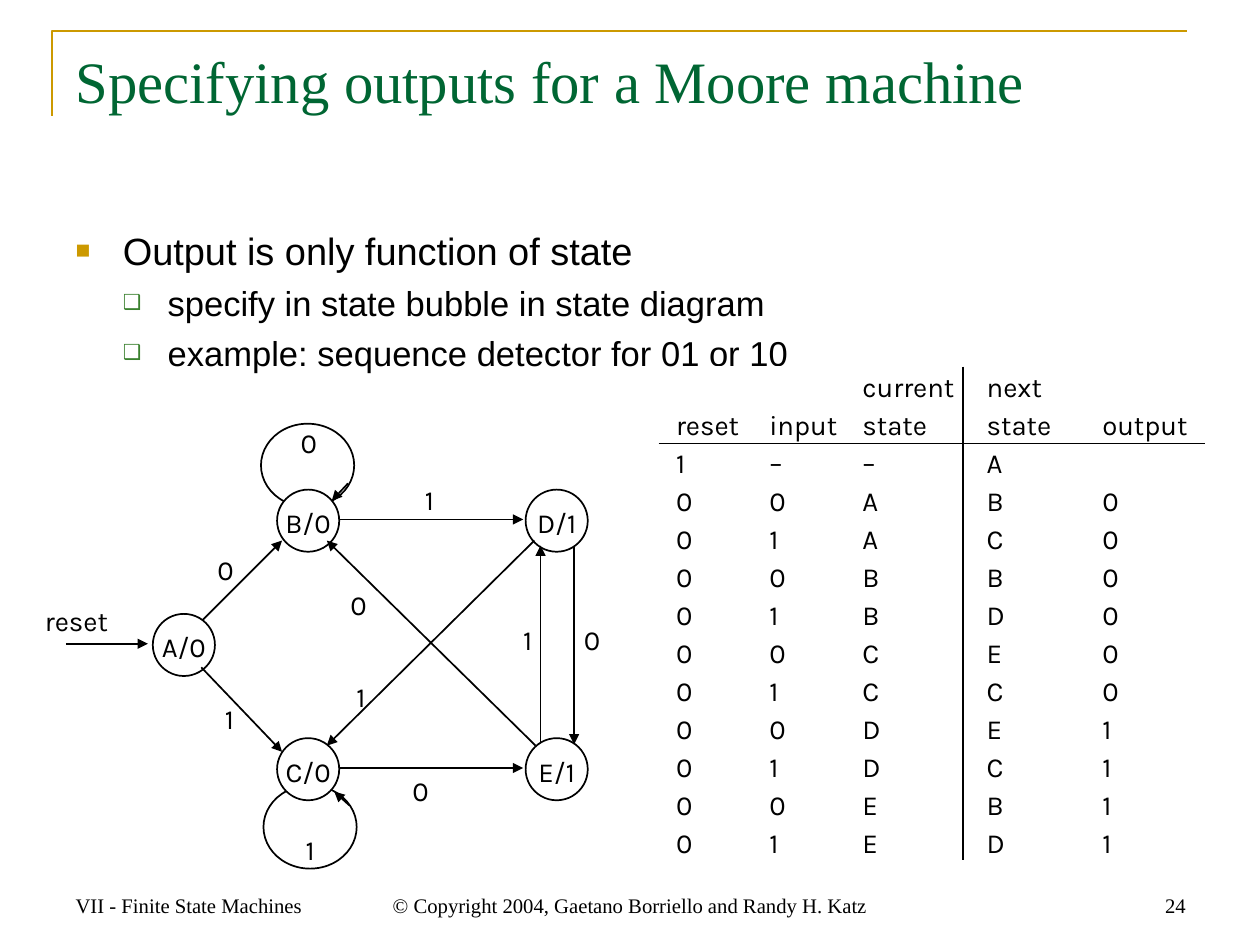
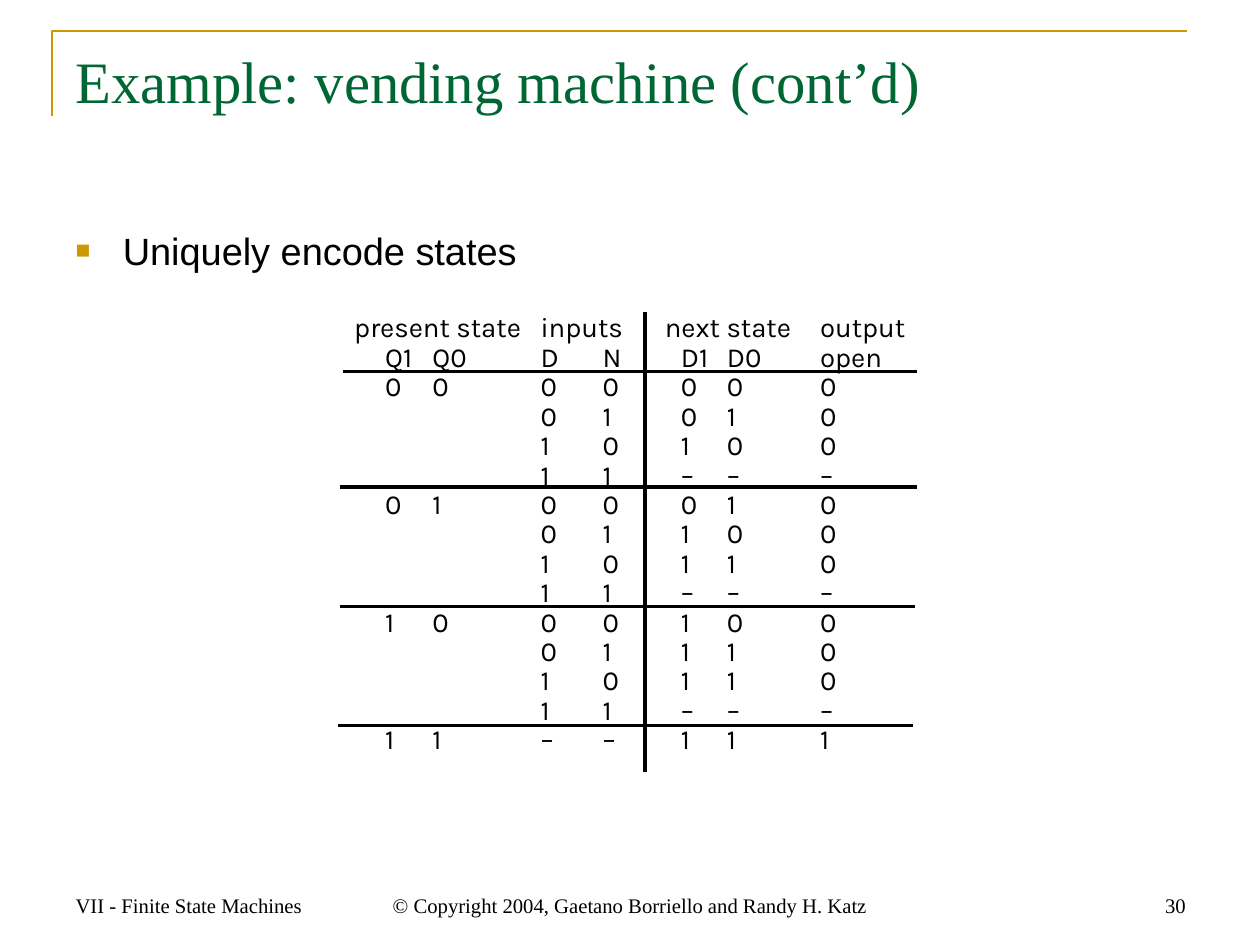
from lxml import etree
from pptx import Presentation
from pptx.dml.color import RGBColor
from pptx.enum.shapes import MSO_CONNECTOR, MSO_SHAPE
from pptx.enum.text import MSO_ANCHOR, MSO_AUTO_SIZE, PP_ALIGN
from pptx.oxml.ns import qn
from pptx.util import Inches, Pt

STRAIGHT, OVAL = MSO_CONNECTOR.STRAIGHT, MSO_SHAPE.OVAL
LEFT, CENTER, RIGHT = PP_ALIGN.LEFT, PP_ALIGN.CENTER, PP_ALIGN.RIGHT
TOP, MIDDLE, BOTTOM = MSO_ANCHOR.TOP, MSO_ANCHOR.MIDDLE, MSO_ANCHOR.BOTTOM
NO_FIT = MSO_AUTO_SIZE.NONE

GOLD = RGBColor(0xCC, 0x99, 0x00)
GREEN = RGBColor(0x00, 0x66, 0x33)
LEAF = RGBColor(0x3B, 0x81, 0x2F)
BLACK = RGBColor(0, 0, 0)
WHITE = RGBColor(255, 255, 255)
SERIF, SANS, LABEL = "Times New Roman", "Arial", "Karla"


def write(tf, text, size, font, align=LEFT, color=BLACK, spacing=None):
    tf.text = text
    p = tf.paragraphs[0]
    p.alignment = align
    if spacing:
        p.line_spacing = Pt(spacing)
    for r in p.runs:
        r.font.size, r.font.name = Pt(size), font
        r.font.color.rgb = color


def add_line(s, x1, y1, x2, y2, width=1, arrow=False):
    c = s.shapes.add_connector(STRAIGHT, Inches(x1), Inches(y1), Inches(x2), Inches(y2))
    c.line.color.rgb, c.line.width = BLACK, Pt(width)
    if arrow:
        etree.SubElement(c.line._get_or_add_ln(), qn("a:tailEnd"), type="triangle")
    etree.SubElement(c._element.spPr, qn("a:effectLst"))


prs = Presentation()
prs.slide_width, prs.slide_height = Pt(730), Pt(547.5)

BULLETS = [("■", GOLD, 65, 22, 5.5, 0.38, 0.38), ("❑", LEAF, 60, 20, 5, 0.74, 0.36)]
PAGES = [
    ("Specifying outputs for a Moore machine", "24",
     [(0, "Output is only function of state"),
      (1, "specify in state bubble in state diagram"),
      (1, "example: sequence detector for 01 or 10")]),
    ("Example: vending machine (cont’d)", "30", [(0, "Uniquely encode states")]),
]

for title, number, points in PAGES:
    s = prs.slides.add_slide(prs.slide_layouts[5])
    fb = s.shapes.build_freeform(Inches(0.42), Inches(0.93))
    fb.add_line_segments([(Inches(0.42), Inches(0.25)), (Inches(9.55), Inches(0.25))], close=False)
    corner = fb.convert_to_shape()
    corner.shadow.inherit = False
    corner.fill.background()
    corner.line.color.rgb, corner.line.width = GOLD, Pt(1.5)

    sp = s.shapes.title
    sp.left, sp.top, sp.width, sp.height = Inches(0.51), Inches(0.31), Inches(9.12), Inches(1.26)
    sp.text_frame.auto_size, sp.text_frame.vertical_anchor = NO_FIT, TOP
    write(sp.text_frame, title, 34, SERIF, color=GREEN)

    tf = s.shapes.add_textbox(Inches(0.51), Inches(1.78), Inches(9.12), Inches(5.02)).text_frame
    tf.word_wrap = True
    for i, (level, text) in enumerate(points):
        mark, color, scale, size, before, margin, hang = BULLETS[level]
        p = tf.add_paragraph() if i else tf.paragraphs[0]
        p.text, p.level, p.space_before = text, level, Pt(before)
        r = p.runs[0]
        r.font.size, r.font.name, r.font.color.rgb = Pt(size), SANS, BLACK
        pPr = p._p.get_or_add_pPr()
        pPr.set("marL", str(Inches(margin)))
        pPr.set("indent", str(-Inches(hang)))
        etree.SubElement(etree.SubElement(pPr, qn("a:buClr")), qn("a:srgbClr"), val=str(color))
        etree.SubElement(pPr, qn("a:buSzPct"), val=str(scale * 1000))
        etree.SubElement(pPr, qn("a:buFont"), typeface=SANS)
        etree.SubElement(pPr, qn("a:buChar"), char=mark)

    for x, w, text, align in [
        (0.51, 2.37, "VII - Finite State Machines", LEFT),
        (2.96, 4.22, "© Copyright 2004, Gaetano Borriello and Randy H. Katz", CENTER),
        (7.27, 2.37, number, RIGHT),
    ]:
        tf = s.shapes.add_textbox(Inches(x), Inches(6.92), Inches(w), Inches(0.51)).text_frame
        tf.word_wrap, tf.vertical_anchor = True, BOTTOM
        write(tf, text, 12, SERIF, align)

moore, vending = prs.slides

LOOPS = [(2.1, 3.41, 0.75, 0.67, ""), (2.12, 6.32, 0.75, 0.67, "")]
STATES = [(1.23 + col, 3.94 + row, 0.5, 0.5, name) for name, col, row in [
    ("A/0", 0, 1), ("B/0", 1, 0), ("C/0", 1, 2), ("D/1", 3, 0), ("E/1", 3, 2)]]
for x, y, w, h, name in LOOPS + STATES:
    sp = moore.shapes.add_shape(OVAL, Inches(x), Inches(y), Inches(w), Inches(h))
    sp.shadow.inherit = False
    sp.line.color.rgb, sp.line.width = BLACK, Pt(1)
    if name:
        sp.fill.solid()
        sp.fill.fore_color.rgb = WHITE
        tf = sp.text_frame
        tf.margin_left = tf.margin_right = tf.margin_bottom = 0
        tf.margin_top = Inches(0.03)
        tf.word_wrap, tf.vertical_anchor = False, MIDDLE
        write(tf, name, 16, LABEL, CENTER)
    else:
        sp.fill.background()

for ends in [
    (2.81, 6.48, 2.69, 6.37), (2.8, 3.89, 2.67, 4.03),
    (0.53, 5.18, 1.19, 5.18), (1.63, 4.99, 2.27, 4.35), (1.62, 5.37, 2.27, 6.05),
    (2.73, 4.18, 4.21, 4.18), (2.74, 6.18, 4.21, 6.18),
    (4.31, 6, 2.63, 4.35), (4.3, 4.35, 2.63, 6),
    (4.62, 4.39, 4.62, 5.99), (4.35, 5.98, 4.35, 4.39),
]:
    add_line(moore, *ends, arrow=True)

for text, x, y in [
    ("0", 2.18, 3.36), ("1", 3.15, 3.82), ("0", 1.51, 4.38), ("0", 2.58, 4.66),
    ("1", 3.94, 4.94), ("0", 4.46, 4.94), ("1", 2.6, 5.4), ("1", 1.54, 5.58),
    ("0", 3.08, 6.16), ("1", 2.19, 6.63), ("reset", 0.31, 4.79),
]:
    tf = moore.shapes.add_textbox(Inches(x), Inches(y), Inches(0.61), Inches(0.44)).text_frame
    tf.margin_left = tf.margin_right = Inches(0.02)
    tf.margin_top = tf.margin_bottom = Inches(0.03)
    tf.word_wrap = False
    write(tf, text, 16, LABEL, CENTER, spacing=22)

NEXT = {"A": "BC", "B": "BD", "C": "EC", "D": "EC", "E": "BD"}
moore_rows = [["", "", "current", "next", ""],
              ["reset", "input", "state", "state", "output"],
              ["1", "–", "–", "A", ""]]
for state, targets in NEXT.items():
    for bit, target in enumerate(targets):
        moore_rows.append(["0", str(bit), state, target, "1" if state in "DE" else "0"])

INPUTS = ["00", "01", "10", "11"]
CODES = {"00": ["000", "010", "100", "–––"],
         "01": ["010", "100", "110", "–––"],
         "10": ["100", "110", "110", "–––"]}
vending_rows = [["present state", "", "", "inputs", "", "next state", "", "", "output"],
                ["", "Q1", "Q0", "D", "N", "", "D1", "D0", "open"]]
for code, results in CODES.items():
    for i, (coins, result) in enumerate(zip(INPUTS, results)):
        present = list(code) if i == 0 else ["", ""]
        vending_rows.append(["", *present, *coins, "", *result])
vending_rows.append(["", "1", "1", "–", "–", "", "1", "1", "1"])

TABLES = [
    (moore, moore_rows, 2.95, 22, [5.44, 6.19, 6.94, 7.94, 8.87, 9.78], [],
     [(5.3, 3.57, 9.7, 3.57), (7.75, 2.95, 7.75, 6.92)], 1),
    (vending, vending_rows, 2.54, 17,
     [2.85, 3.1, 3.48, 4.35, 4.85, 5.35, 5.48, 5.85, 6.6, 7.36], [(0, 2), (3, 4), (5, 7)],
     [(2.76, 2.99, 7.38, 2.99), (2.74, 3.92, 7.38, 3.92), (2.74, 4.88, 7.36, 4.88),
      (2.72, 5.84, 7.35, 5.84), (5.19, 2.51, 5.19, 6.21)], 2),
]
for s, rows, top, pitch, edges, spans, rules, width in TABLES:
    frame = s.shapes.add_table(len(rows), len(edges) - 1, Inches(edges[0]), Inches(top),
                               Inches(edges[-1] - edges[0]), Pt(pitch * len(rows)))
    table = frame.table
    table.first_row = table.horz_banding = False
    for col, left, right in zip(table.columns, edges, edges[1:]):
        col.width = Inches(right - left)
    for i, row in enumerate(rows):
        table.rows[i].height = Pt(pitch)
        for j, text in enumerate(row):
            cell = table.cell(i, j)
            cell.fill.background()
            cell.margin_left = cell.margin_right = cell.margin_top = cell.margin_bottom = 0
            write(cell.text_frame, text, 16, LABEL, spacing=pitch)
            if not text:
                etree.SubElement(cell.text_frame.paragraphs[0]._p, qn("a:endParaRPr"), sz="1000")
    for first, last in spans:
        table.cell(0, first).merge(table.cell(0, last))
    for rule in rules:
        add_line(s, *rule, width=width)

prs.save("out.pptx")
